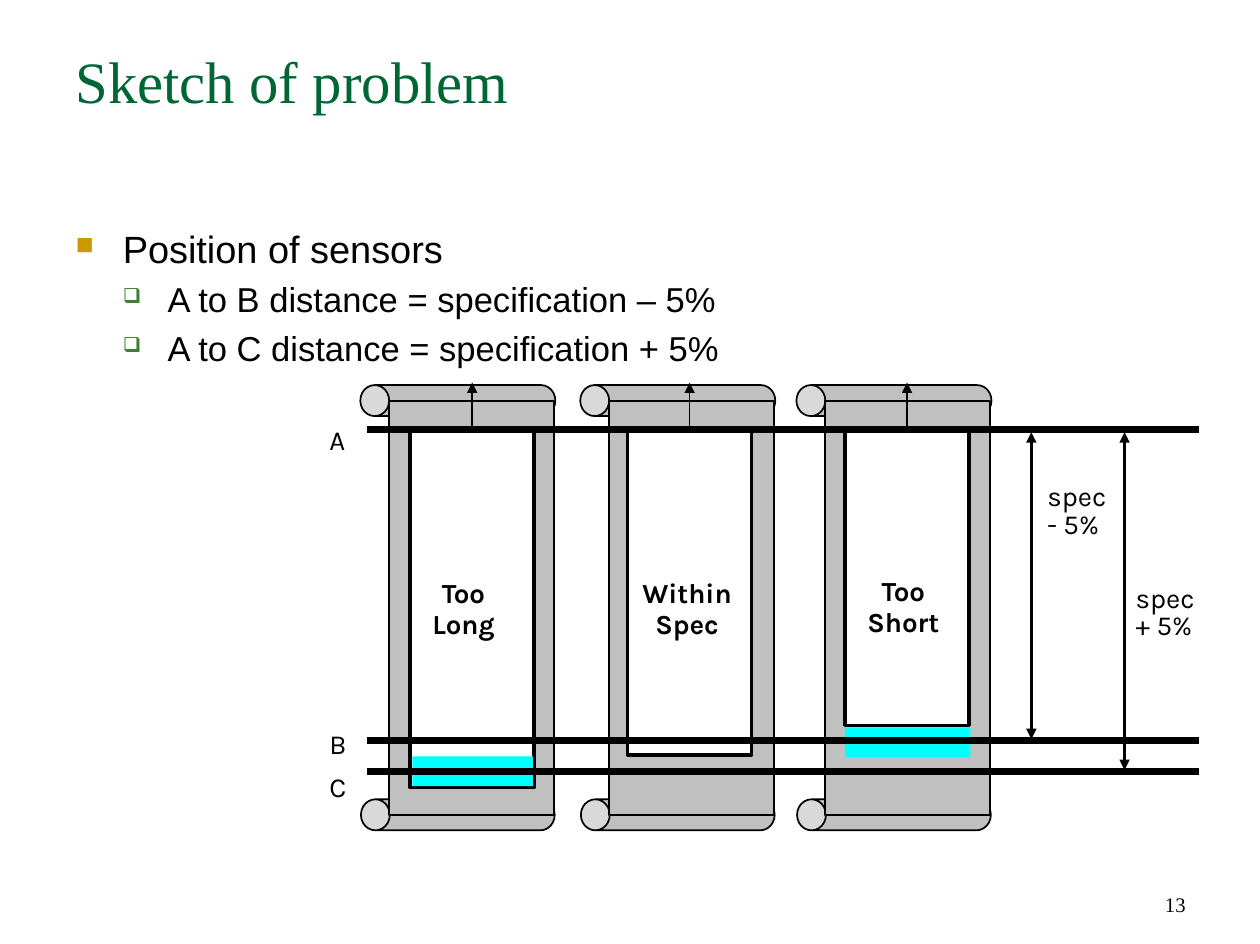
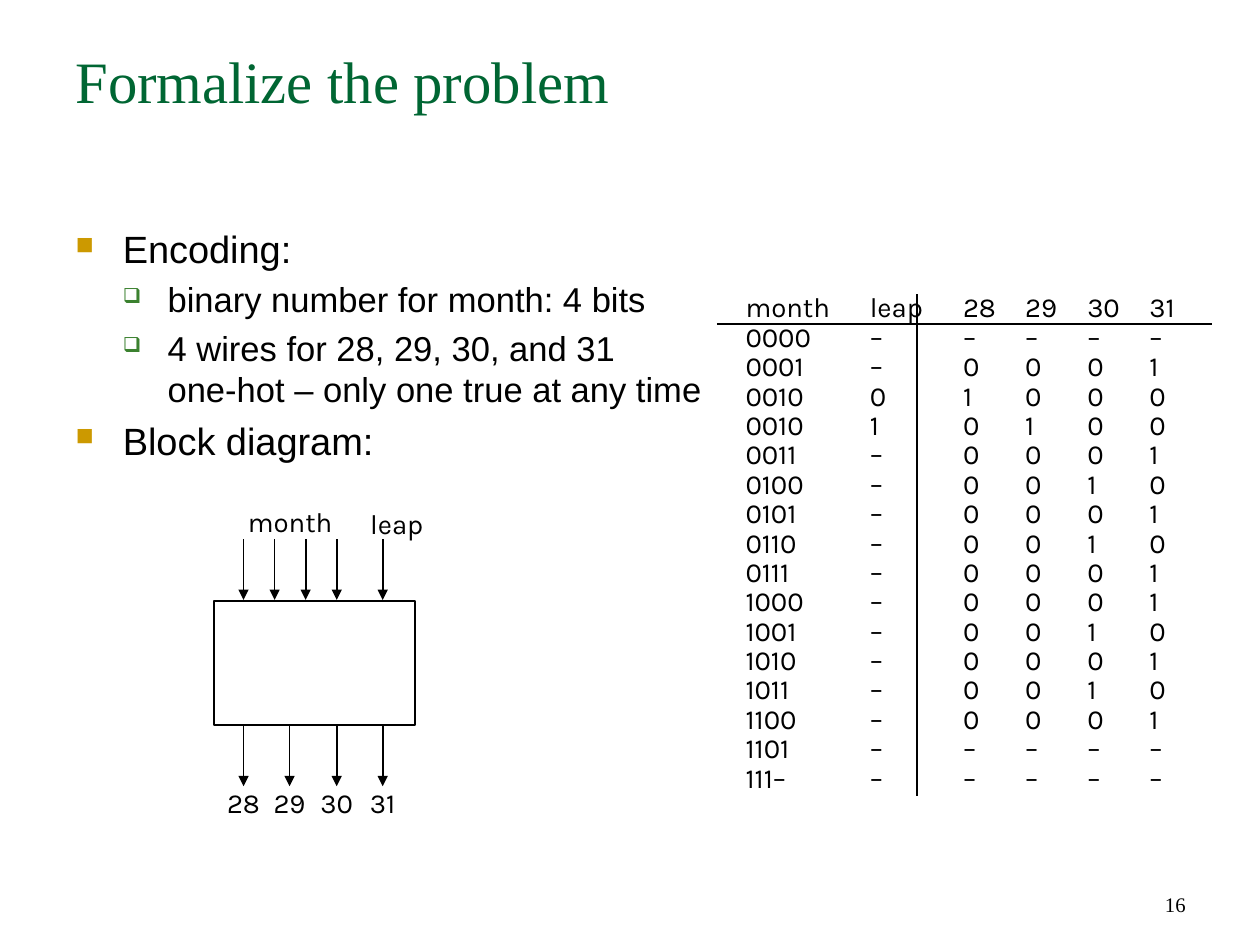
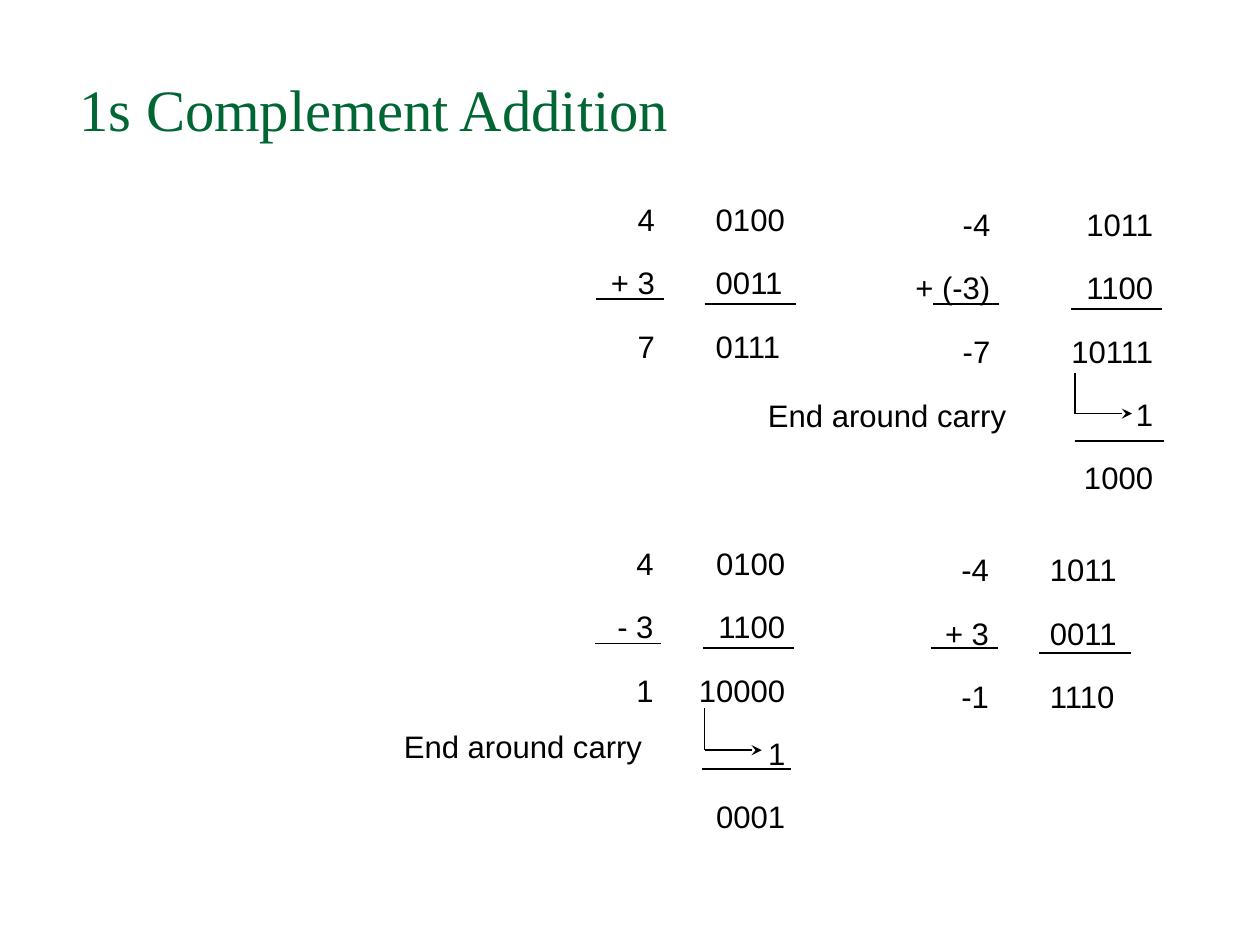
from lxml import etree
from pptx import Presentation
from pptx.dml.color import RGBColor
from pptx.enum import shapes, text
from pptx.oxml import ns
from pptx.util import Inches, Pt

COLORS = {"title": "006633", "ink": "000000", "paper": "FFFFFF", "scroll": "C0C0C0",
          "excess": "00FFFF", "bullet": "CC9900", "sub_bullet": "3B812F"}
LEFT, CENTER, RIGHT = text.PP_ALIGN.LEFT, text.PP_ALIGN.CENTER, text.PP_ALIGN.RIGHT
WIDE_INSET, SLIM_INSET, SUM_INSET = (0.1, 0.05), (0.02, 0.03), (0.07, 0.03)

# Bullet levels: size, left margin, indent, mark, mark colour, mark percent
LEVELS = [(22, 0.38, -0.38, "■", "bullet", 65),
          (20, 0.74, -0.36, "❑", "sub_bullet", 60)]

# Slide 1 content
SENSOR_BULLETS = [(0, "Position of sensors"),
                  (1, "A to B distance = specification – 5%"),
                  (1, "A to C distance = specification + 5%")]
SCROLL_LEFTS = [3.13, 4.9, 6.64]
# Rod: left, height, label, label centre, label top, excess strip (left, top, width, height)
RODS = [(3.3, 2.88, "Too\vLong", 3.73, 4.62, (3.32, 6.09, 0.97, 0.24)),
        (5.05, 2.62, "Within\vSpec", 5.53, 4.62, None),
        (6.8, 2.38, "Too\vShort", 7.27, 4.61, (6.8, 5.86, 1.01, 0.24))]
# Sensor: name, line height, label top
SENSORS = [("A", 3.46, 3.42), ("B", 5.96, 5.87), ("C", 6.21, 6.21)]
# Tolerance: label, arrow x, arrow end, label left, label top
TOLERANCES = [("spec\v- 5%", 8.3, 5.95, 8.41, 3.87),
              ("spec\v+ 5%", 9.05, 6.2, 9.12, 4.69)]

# Slide 2 content
ENCODING_BULLETS = [(0, "Encoding:"),
                    (1, "binary number for month: 4 bits"),
                    (1, "4 wires for 28, 29, 30, and 31\vone-hot – only one true at any time"),
                    (0, "Block diagram:")]
INPUT_XS = [1.96, 2.21, 2.46, 2.71, 3.08]
OUTPUTS = [("28", 1.96), ("29", 2.33), ("30", 2.71), ("31", 3.08)]
TRUTH_TABLE = [line.split() for line in """\
month leap 28 29 30 31
0000 – – – – –
0001 – 0 0 0 1
0010 0 1 0 0 0
0010 1 0 1 0 0
0011 – 0 0 0 1
0100 – 0 0 1 0
0101 – 0 0 0 1
0110 – 0 0 1 0
0111 – 0 0 0 1
1000 – 0 0 0 1
1001 – 0 0 1 0
1010 – 0 0 0 1
1011 – 0 0 1 0
1100 – 0 0 0 1
1101 – – – – –
111– – – – – –""".splitlines()]
TRUTH_WIDTHS = [1, 0.75, 0.5, 0.5, 0.5, 0.5]

# Slide 3 content: left, top, width, alignment, figures, rule left, rule top, rule width
SUMS = [(4.84, 1.63, 0.5, RIGHT, ["4", "+ 3", "7"], 4.8, 2.41, 0.54),
        (5.69, 1.63, 0.7, LEFT, ["0100", "0011", "0111"], 5.67, 2.45, 0.74),
        (7.29, 1.67, 0.75, RIGHT, ["-4", "+ (-3)", "-7"], 7.51, 2.45, 0.53),
        (8.54, 1.67, 0.81, RIGHT, ["1011", "1100", "10111", "1", "1000"], 8.62, 2.49, 0.73),
        (4.89, 4.4, 0.44, RIGHT, ["4", "- 3", "1"], 4.79, 5.18, 0.53),
        (5.55, 4.4, 0.84, RIGHT, ["0100", "1100", "10000", "1", "0001"], 5.66, 5.22, 0.73),
        (7.53, 4.45, 0.5, RIGHT, ["-4", "+ 3", "-1"], 7.49, 5.22, 0.54),
        (8.38, 4.45, 0.7, LEFT, ["1011", "0011", "1110"], 8.36, 5.26, 0.74)]
# End around carry: label left, label top, corner x, start y, corner y, rule left, rule y
CARRIES = [(6.11, 3.21, 8.65, 3, 3.33, 8.65, 3.55),
           (3.18, 5.87, 5.67, 5.7, 6.04, 5.65, 6.19)]


def rgb(name):
    return RGBColor.from_string(COLORS[name])


def style(paragraph, size, font, color="ink", align=LEFT, bold=False, spacing=None):
    paragraph.alignment = align
    if spacing:
        paragraph.line_spacing = Pt(spacing)
    for run in paragraph.runs:
        run.font.size, run.font.name, run.font.bold = Pt(size), font, bold
        run.font.color.rgb = rgb(color)


def add_text(slide, box, lines, size, font, inset, wrap=False, anchor=text.MSO_ANCHOR.TOP,
             gap=0, **look):
    frame = slide.shapes.add_textbox(*map(Inches, box)).text_frame
    frame.word_wrap, frame.vertical_anchor = wrap, anchor
    frame.margin_left = frame.margin_right = Inches(inset[0])
    frame.margin_top = frame.margin_bottom = Inches(inset[1])
    for i, line in enumerate(lines):
        paragraph = frame.add_paragraph() if i else frame.paragraphs[0]
        paragraph.text = line
        style(paragraph, size, font, **look)
        if i and gap:
            paragraph.space_before = Pt(gap)
    return frame


def add_label(slide, box, words, spacing, **look):
    add_text(slide, box, [words], 16, "Karla", SLIM_INSET, spacing=spacing, **look)


def add_line(slide, start, end, width=1, head=None, tail=None):
    line = slide.shapes.add_connector(shapes.MSO_CONNECTOR.STRAIGHT,
                                      *map(Inches, (*start, *end)))
    line.line.color.rgb, line.line.width = rgb("ink"), Pt(width)
    for tag, arrow in (("a:headEnd", head), ("a:tailEnd", tail)):
        if arrow:
            etree.SubElement(line.line._ln, ns.qn(tag), type=arrow)
    etree.SubElement(line._element.spPr, ns.qn("a:effectLst"))


def add_block(slide, box, fill=None, outline=None, kind=shapes.MSO_SHAPE.RECTANGLE):
    block = slide.shapes.add_shape(kind, *map(Inches, box))
    block.shadow.inherit = False
    if fill:
        block.fill.solid()
        block.fill.fore_color.rgb = rgb(fill)
    else:
        block.fill.background()
    if outline:
        block.line.color.rgb, block.line.width = rgb("ink"), Pt(outline)
    else:
        block.line.fill.background()
    return block


def add_slide(deck, title, title_at=(0.51, 0.31), number=None):
    slide = deck.slides.add_slide(deck.slide_layouts[6])
    add_text(slide, (*title_at, 9.12, 1.26), [title], 34, "Times New Roman", WIDE_INSET,
             wrap=True, color="title")
    if number:
        add_text(slide, (7.27, 6.92, 2.37, 0.51), [number], 12, "Times New Roman", WIDE_INSET,
                 wrap=True, anchor=text.MSO_ANCHOR.BOTTOM, align=RIGHT)
    return slide


def add_bullets(slide, bullets):
    frame = add_text(slide, (0.51, 1.77, 9.12, 5.02), [words for _, words in bullets],
                     22, "Arial", WIDE_INSET, wrap=True)
    for i, (paragraph, (level, _)) in enumerate(zip(frame.paragraphs, bullets)):
        size, margin, indent, mark, color, percent = LEVELS[level]
        props = paragraph._p.get_or_add_pPr()
        props.set("marL", str(Inches(margin)))
        props.set("indent", str(Inches(indent)))
        mark_color = etree.SubElement(props, ns.qn("a:buClr"))
        etree.SubElement(mark_color, ns.qn("a:srgbClr"), val=COLORS[color])
        etree.SubElement(props, ns.qn("a:buSzPct"), val=str(percent * 1000))
        etree.SubElement(props, ns.qn("a:buChar"), char=mark)
        paragraph.level = level
        paragraph.font.size = Pt(size)
        style(paragraph, size, "Arial")
        if i:
            paragraph.space_before = Pt(size * 0.2)


def build_sketch(deck):
    slide = add_slide(deck, "Sketch of problem", number="13")
    # Scrolls with a roll at each end
    for left in SCROLL_LEFTS:
        for top, length in ((2.44, 1.57), (5.78, 1.56)):
            roll = add_block(slide, (left + 0.43, top, 0.25, length), "scroll", 1,
                             shapes.MSO_SHAPE.CAN)
            roll.rotation = 270
            roll.adjustments[0] = 0.93
        add_block(slide, (left, 3.23, 1.33, 3.33), "scroll", 1)
    add_bullets(slide, SENSOR_BULLETS)
    # Rods
    for left, height, label, center, label_top, excess in RODS:
        add_line(slide, (left + 0.5, 3.47), (left + 0.5, 3.08), tail="triangle")
        add_block(slide, (left, 3.46, 1, height), "paper", 2)
        if excess:
            add_block(slide, excess, "excess")
        add_label(slide, (center - 0.4, label_top, 0.8, 0.65), label, 18,
                  align=CENTER, bold=True)
    # Sensor lines and tolerances
    for name, y, label_top in SENSORS:
        add_label(slide, (2.63, label_top, 0.25, 0.36), name, 16)
        add_line(slide, (2.95, y), (9.65, y), 4)
    for label, x, end, left, top in TOLERANCES:
        add_line(slide, (x, 3.48), (x, end), 2, "triangle", "triangle")
        add_label(slide, (left, top, 0.6, 0.58), label, 16)


def build_encoding(deck):
    slide = add_slide(deck, "Formalize the problem", number="16")
    add_bullets(slide, ENCODING_BULLETS)
    # Block diagram
    add_block(slide, (1.72, 4.84, 1.62, 1), outline=1)
    for x in INPUT_XS:
        add_line(slide, (x, 4.34), (x, 4.83), tail="triangle")
    add_label(slide, (1.75, 4, 1.17, 0.44), "month", 22, align=CENTER)
    add_label(slide, (2.96, 4.01, 0.94, 0.44), "leap", 22)
    for label, x in OUTPUTS:
        add_line(slide, (x, 5.84), (x, 6.33), tail="triangle")
        add_label(slide, (x - 0.38, 6.26, 0.76, 0.44), label, 22, align=CENTER)
    # Truth table
    row_height = Pt(17)
    table = slide.shapes.add_table(
        len(TRUTH_TABLE), len(TRUTH_WIDTHS), Inches(5.95), Inches(2.38),
        Inches(sum(TRUTH_WIDTHS)), row_height * len(TRUTH_TABLE)).table
    table.first_row = table.horz_banding = False
    for column, width in zip(table.columns, TRUTH_WIDTHS):
        column.width = Inches(width)
    for r, values in enumerate(TRUTH_TABLE):
        table.rows[r].height = row_height
        for c, value in enumerate(values):
            cell = table.cell(r, c)
            cell.fill.background()
            cell.margin_left = Inches(0.05)
            cell.margin_right = cell.margin_top = cell.margin_bottom = 0
            cell.text_frame.text = value
            style(cell.text_frame.paragraphs[0], 16, "Karla", spacing=17)
    add_line(slide, (5.77, 2.61), (9.75, 2.61))
    add_line(slide, (7.38, 2.37), (7.38, 6.41))


def build_addition(deck):
    slide = add_slide(deck, "1s Complement Addition", title_at=(0.54, 0.54))
    line_height = 18.35
    for left, top, width, align, figures, rule_left, rule_y, rule_width in SUMS:
        height = 0.06 + line_height / 72 * (2 * len(figures) - 1)
        add_text(slide, (left, top, width, height), figures, 18, "Arial", SUM_INSET,
                 gap=line_height, align=align, spacing=line_height)
        add_line(slide, (rule_left, rule_y), (rule_left + rule_width, rule_y))
    for left, top, x, start_y, corner_y, rule_left, rule_y in CARRIES:
        add_text(slide, (left, top, 2.08, 0.31), ["End around carry"], 18, "Arial",
                 SUM_INSET, wrap=True, spacing=line_height)
        add_line(slide, (x, start_y), (x, corner_y))
        add_line(slide, (x, corner_y), (x + 0.46, corner_y), tail="stealth")
        add_line(slide, (rule_left, rule_y), (rule_left + 0.72, rule_y))


def main():
    deck = Presentation()
    deck.slide_width, deck.slide_height = Inches(10.14), Inches(7.6)
    build_sketch(deck)
    build_encoding(deck)
    build_addition(deck)
    deck.save("out.pptx")


if __name__ == "__main__":
    main()
